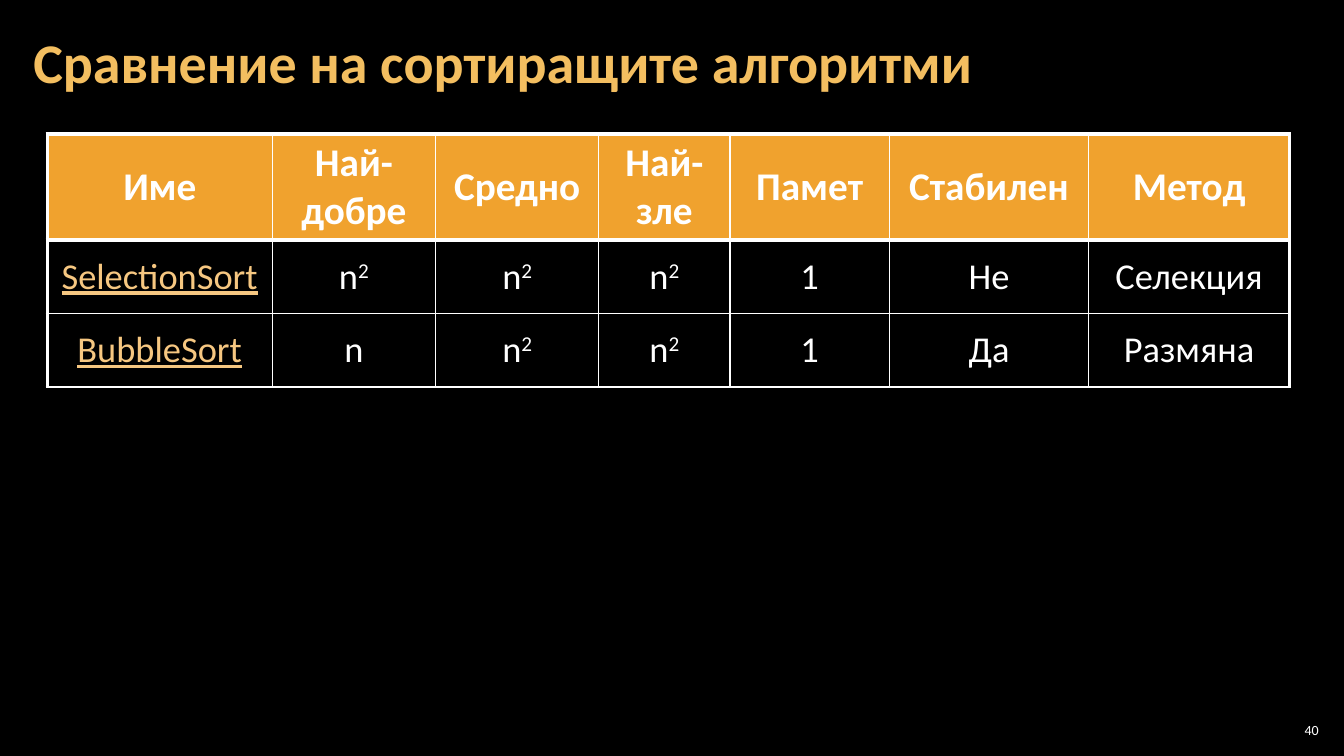
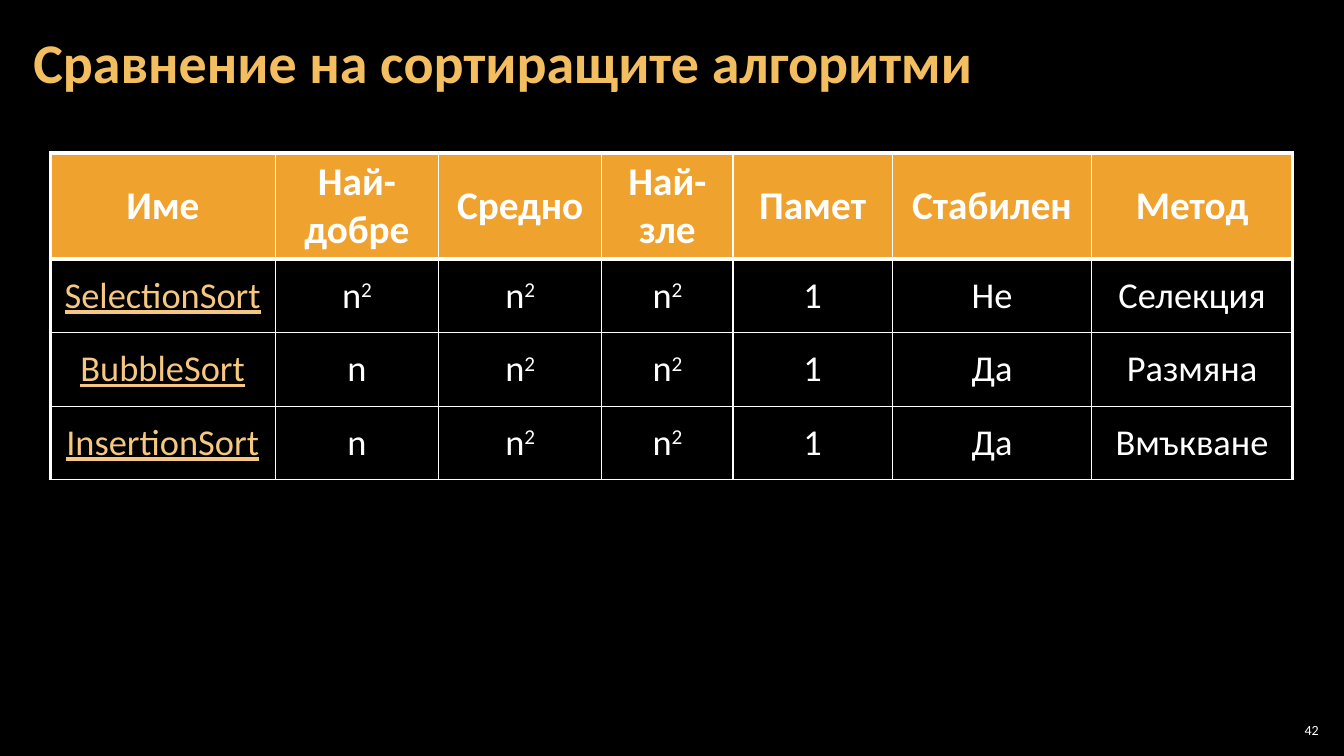
from lxml import etree
from pptx import Presentation
from pptx.dml.color import RGBColor
from pptx.enum.text import MSO_ANCHOR, PP_ALIGN
from pptx.oxml.ns import qn
from pptx.util import Inches, Pt

BLACK = RGBColor(0x00, 0x00, 0x00)
WHITE = RGBColor(0xFF, 0xFF, 0xFF)
TITLE_GOLD = RGBColor(0xF3, 0xBE, 0x60)
HEADER_ORANGE = RGBColor(0xF0, 0xA2, 0x2E)
LINK_GOLD = RGBColor(0xF6, 0xC7, 0x81)
MIDDLE = MSO_ANCHOR.MIDDLE
LEFT, CENTER, RIGHT = PP_ALIGN.LEFT, PP_ALIGN.CENTER, PP_ALIGN.RIGHT

FONT = "Calibri"
TITLE = "Сравнение на сортиращите алгоритми"
HEADERS = ("Име", "Най-добре", "Средно", "Най-зле", "Памет", "Стабилен", "Метод")
ALGORITHMS = (
    ("SelectionSort", "n^2", "n^2", "n^2", "1", "Не", "Селекция"),
    ("BubbleSort", "n", "n^2", "n^2", "1", "Да", "Размяна"),
    ("InsertionSort", "n", "n^2", "n^2", "1", "Да", "Вмъкване"),
)
COLUMN_WIDTHS = (2.23, 1.62, 1.62, 1.3, 1.58, 1.98, 1.99)
HEADER_HEIGHT, ROW_HEIGHT = 1.05, 0.73
THICK, THIN = 3, 1
BODY_ALPHA = 30


def style_span(span, size, color, bold=False):
    span.font.name = FONT
    span.font.size = Pt(size)
    span.font.bold = bold
    span.font.color.rgb = color


def add_text(page, text, place, margins, size, color, bold=False, align=LEFT):
    box = page.shapes.add_textbox(*(Inches(value) for value in place))
    frame = box.text_frame
    frame.word_wrap = True
    frame.vertical_anchor = MIDDLE
    frame.margin_left = frame.margin_right = Inches(margins[0])
    frame.margin_top = frame.margin_bottom = Inches(margins[1])
    frame.text = text
    para = frame.paragraphs[0]
    para.alignment = align
    style_span(para.runs[0], size, color, bold)
    return para


def set_borders(cell, widths):
    properties = cell._tc.get_or_add_tcPr()
    for index, (side, width) in enumerate(zip("LRTB", widths)):
        line = etree.Element(qn(f"a:ln{side}"), w=str(Pt(width)))
        fill = etree.SubElement(line, qn("a:solidFill"))
        etree.SubElement(fill, qn("a:srgbClr"), val=str(WHITE))
        properties.insert(index, line)


def fill_cell(cell, color, alpha=100):
    cell.fill.solid()
    cell.fill.fore_color.rgb = color
    if alpha < 100:
        swatch = cell._tc.tcPr.find(f".//{qn('a:srgbClr')}")
        etree.SubElement(swatch, qn("a:alpha"), val=str(alpha * 1000))


def write_cell(cell, text, size, color, bold=False, underline=False):
    cell.vertical_anchor = MIDDLE
    para = cell.text_frame.paragraphs[0]
    para.alignment = CENTER
    for index, part in enumerate(text.split("^")):
        span = para.add_run()
        span.text = part
        style_span(span, size, color, bold)
        span.font.underline = underline
        if index:
            span._r.get_or_add_rPr().set("baseline", "30000")


def add_comparison(page, left, top, algorithms):
    rows = (HEADERS, *algorithms)
    heights = [HEADER_HEIGHT] + [ROW_HEIGHT] * len(algorithms)
    table = page.shapes.add_table(
        len(rows), len(HEADERS), Inches(left), Inches(top),
        Inches(sum(COLUMN_WIDTHS)), Inches(sum(heights)),
    ).table
    for column, width in zip(table.columns, COLUMN_WIDTHS):
        column.width = Inches(width)
    for row, height in zip(table.rows, heights):
        row.height = Inches(height)
    last = len(HEADERS) - 1
    for row_index, values in enumerate(rows):
        for column_index, value in enumerate(values):
            cell = table.cell(row_index, column_index)
            is_header = row_index == 0
            is_name = column_index == 0
            if is_header:
                fill_cell(cell, HEADER_ORANGE)
                write_cell(cell, value, 28, WHITE, bold=True)
            else:
                fill_cell(cell, BLACK, BODY_ALPHA)
                color = LINK_GOLD if is_name else WHITE
                write_cell(cell, value, 26, color, underline=is_name)
            set_borders(cell, (
                THICK if is_name else THIN,
                THICK if column_index == last else THIN,
                THICK if row_index <= 1 else THIN,
                THICK if is_header else THIN,
            ))


def add_page(deck, number, left, top, algorithms):
    page = deck.slides.add_slide(deck.slide_layouts[6])
    title = add_text(page, TITLE, (0.21, 0.04, 12.91, 1.21), (0.12, 0.04),
                     40, TITLE_GOLD, bold=True)
    title.line_spacing = 0.9
    add_comparison(page, left, top, algorithms)
    add_text(page, str(number), (12.65, 7.14, 0.47, 0.21), (0.04, 0.04),
             10, WHITE, align=RIGHT)


def main():
    deck = Presentation()
    deck.slide_width = Inches(13.33)
    deck.slide_height = Inches(7.5)
    background = deck.slide_master.background.fill
    background.solid()
    background.fore_color.rgb = BLACK
    add_page(deck, 40, 0.47, 1.33, ALGORITHMS[:2])
    add_page(deck, 42, 0.5, 1.52, ALGORITHMS)
    deck.save("out.pptx")


if __name__ == "__main__":
    main()
